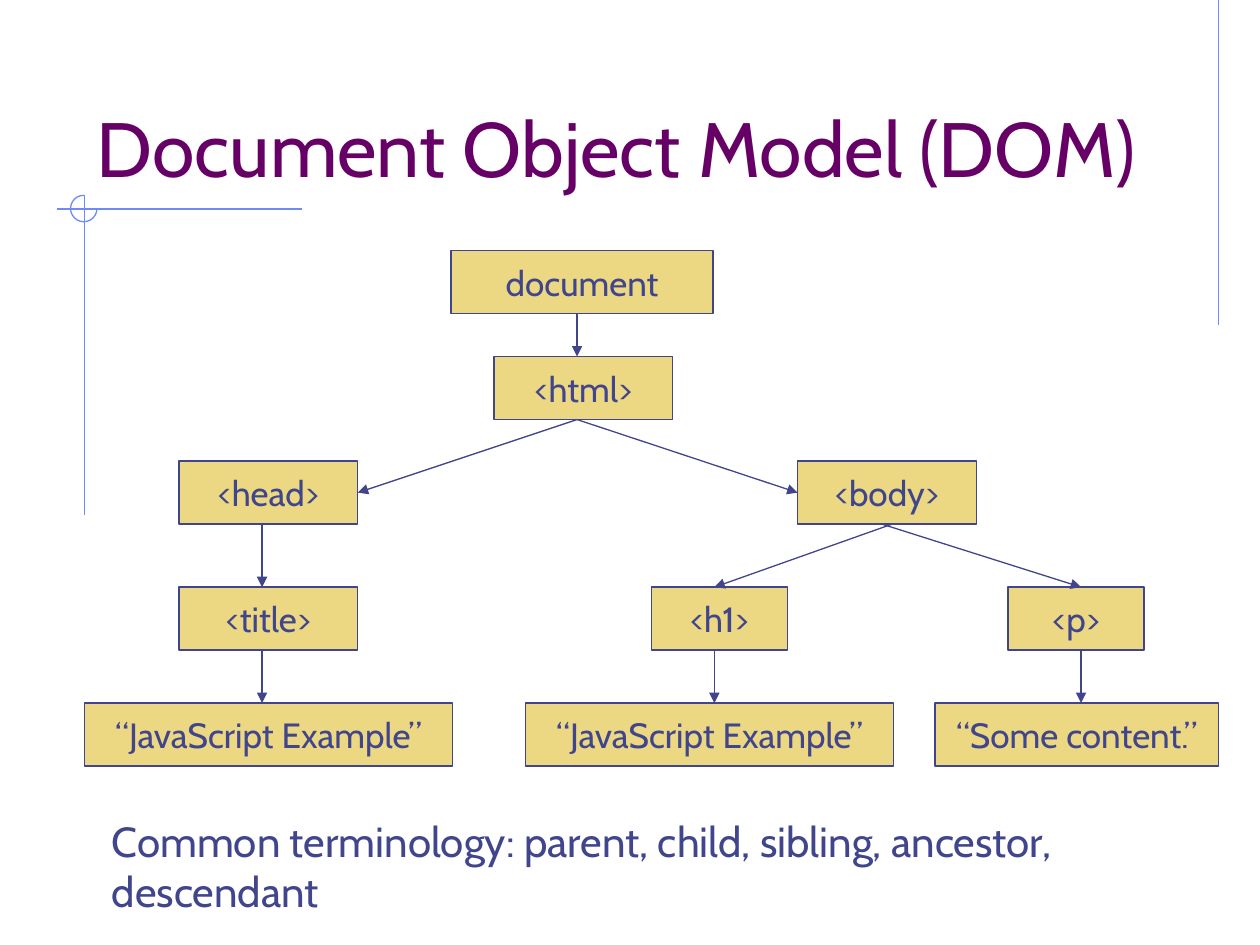
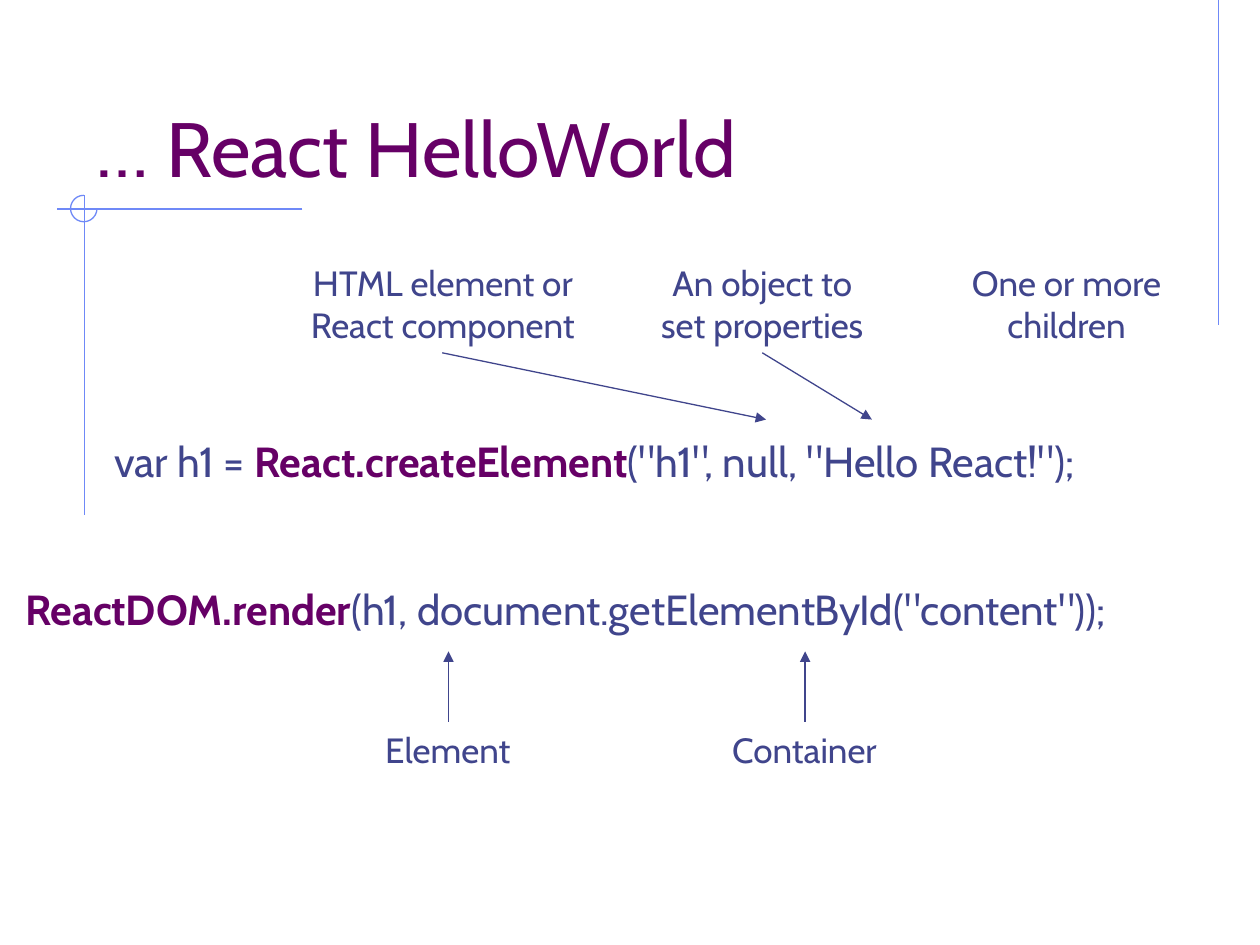
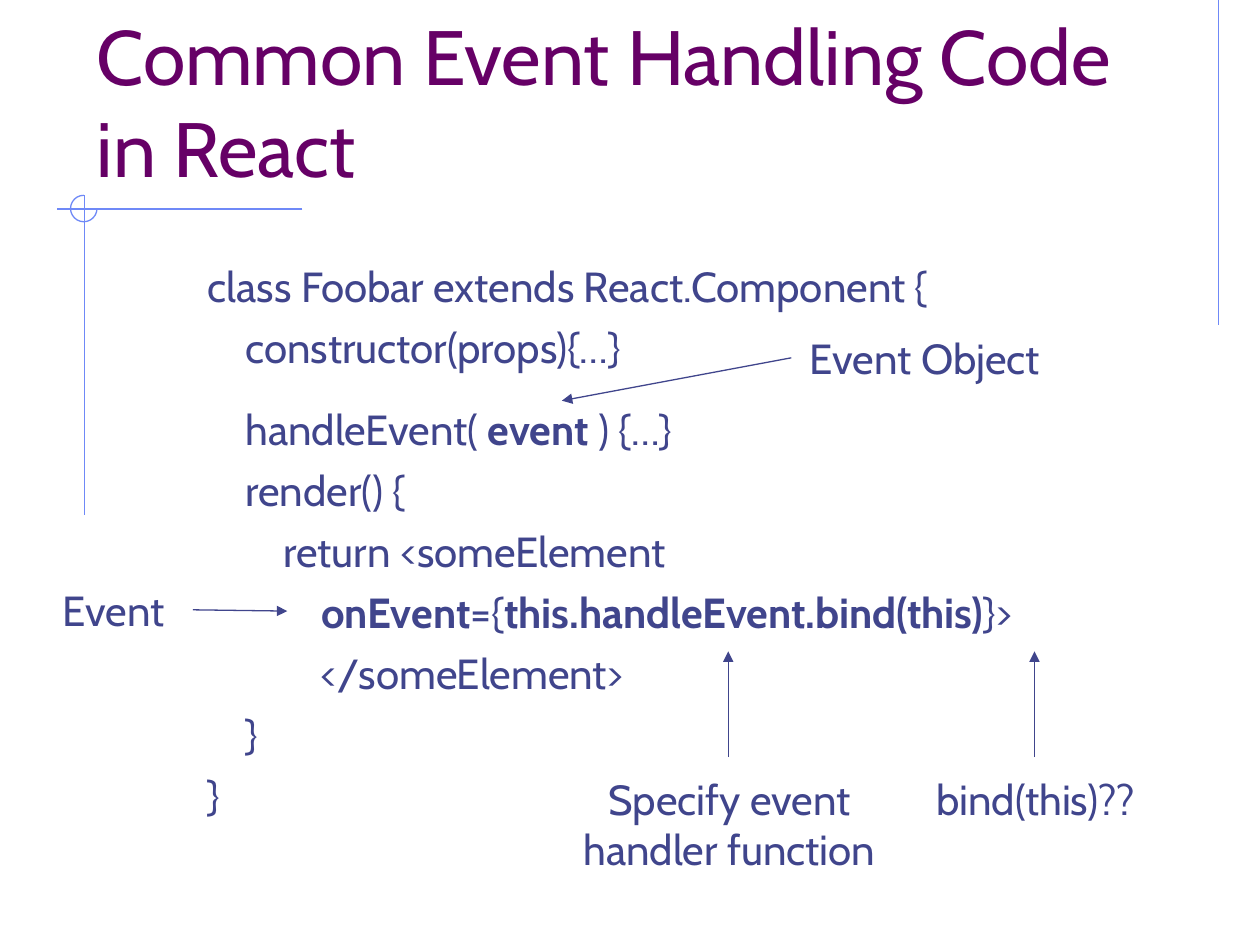
from lxml import etree
from pptx import Presentation
from pptx.dml.color import RGBColor
from pptx.enum import shapes, text
from pptx.oxml import ns
from pptx.util import Inches, Pt

FONT = "Cabin"
INK, PLUM, GOLD, SKY = "40458C", "660066", "ECD882", "6F89F7"
LEFT, CENTER = text.PP_ALIGN.LEFT, text.PP_ALIGN.CENTER

# Frame lines shared by all slides: x1, y1, x2, y2
FRAME = [(9.67, 0, 9.67, 2.58), (2.4, 1.66, 0.45, 1.66), (0.67, 1.55, 0.67, 4.09)]

# DOM tree: name -> (label, left, row, width)
ROWS = [1.99, 2.83, 3.66, 4.66, 5.58]
BOX_H = 0.5
NODES = {
    "document": ("document", 3.58, 0, 2.08),
    "html": ("<html>", 3.92, 1, 1.42),
    "head": ("<head>", 1.42, 2, 1.42),
    "body": ("<body>", 6.33, 2, 1.42),
    "title": ("<title>", 1.42, 3, 1.42),
    "title text": ("“JavaScript Example”", 0.67, 4, 2.92),
    "h1": ("<h1>", 5.17, 3, 1.08),
    "p": ("<p>", 8, 3, 1.08),
    "h1 text": ("“JavaScript Example”", 4.17, 4, 2.92),
    "p text": ("“Some content.”", 7.42, 4, 2.25),
}
# Parent, child, x at parent's bottom, x at child's top
DROPS = [
    ("document", "html", 4.58, 4.58),
    ("head", "title", 2.08, 2.08),
    ("body", "h1", 7.08, 5.67),
    ("body", "p", 7, 8.58),
    ("title", "title text", 2.08, 2.08),
    ("h1", "h1 text", 5.67, 5.67),
    ("p", "p text", 8.58, 8.58),
]
# Children of <html>, each met at the side facing it: child, side
BRANCHES = [("head", 3), ("body", 1)]
HTML_X = 4.58
TERMS = ["Common terminology: parent, child, sibling, ancestor,", "descendant"]

# React calls: runs are (text, bold, colour)
CREATE = [("var h1 = ", False, INK), ("React.createElement", True, PLUM),
          ('("h1", null, "Hello React!");', False, INK)]
RENDER = [("ReactDOM.render", True, PLUM),
          ('(h1, document.getElementById("content"));', False, INK)]
CALL_LABELS = [
    (["HTML element or", "React component"], 2.27, 2.03, 2.49),
    (["An object to", "set properties"], 5.04, 2.03, 2.02),
    (["One or more", "children"], 7.53, 2.03, 1.87),
    (["Element"], 2.92, 5.73, 1.27),
    (["Container"], 5.64, 5.73, 1.49),
]
CALL_ARROWS = [(3.56, 5.73, 3.56, 5.17), (6.39, 5.73, 6.39, 5.17),
               (3.51, 2.8, 6.08, 3.33), (6.05, 2.8, 6.92, 3.33)]

# Event handling code
CODE = [
    "class Foobar extends React.Component {",
    "    constructor(props){…}",
    [("    handleEvent( ", False, INK), ("event", True, INK), (" ) {…}", False, INK)],
    "    render() {",
    "        return <someElement",
    [("            ", False, INK), ("onEvent", True, INK), ("={", False, INK),
     ("this.handleEvent.bind(this)", True, INK), ("}>", False, INK)],
    "            </someElement>",
    "    }",
    "}",
]
CODE_GAPS = [6, 18] + [6] * 7
EVENT_LABELS = [
    (["Event"], 0.4, 4.59, 1.07, LEFT),
    (["Specify event", "handler function"], 4.39, 6.09, 2.8, CENTER),
    (["bind(this)??"], 7.24, 6.09, 1.96, CENTER),
    (["Event Object"], 6.33, 2.59, 2.17, LEFT),
]
EVENT_ARROWS = [(1.53, 4.84, 2.28, 4.85), (5.78, 6.01, 5.78, 5.17),
                (8.21, 6.01, 8.21, 5.17), (6.28, 2.84, 4.46, 3.18)]


def rgb(color):
    return RGBColor.from_string(color)


def write(sp, lines, size, color=INK, align=LEFT, anchor=text.MSO_ANCHOR.TOP, gaps=()):
    """Fill a shape; a line is a string or a list of (text, bold, colour) runs."""
    tf = sp.text_frame
    tf.word_wrap = True
    tf.vertical_anchor = anchor
    for i, line in enumerate(lines):
        p = tf.paragraphs[0] if i == 0 else tf.add_paragraph()
        p.alignment = align
        if gaps:
            p.space_after = Pt(gaps[i])
        p.font.name, p.font.size = FONT, Pt(size)
        p.font.color.rgb = rgb(color)
        for content, bold, run_color in [(line, False, color)] if isinstance(line, str) else line:
            r = p.add_run()
            r.text = content
            if bold:
                r.font.bold = True
            if run_color != color:
                r.font.color.rgb = rgb(run_color)


def add_text(slide, lines, x, y, w, h, size, **style):
    write(slide.shapes.add_textbox(*map(Inches, (x, y, w, h))), lines, size, **style)


def add_line(slide, ends, color=INK, arrow=True):
    line = slide.shapes.add_connector(shapes.MSO_CONNECTOR.STRAIGHT, *map(Inches, ends))
    line.line.color.rgb = rgb(color)
    line.line.width = Pt(0.75)
    if arrow:
        etree.SubElement(line.line._get_or_add_ln(), ns.qn("a:tailEnd"), type="triangle")
    etree.SubElement(line._element.spPr, ns.qn("a:effectLst"))
    return line


def add_shape(slide, kind, x, y, w, h, line_color):
    sp = slide.shapes.add_shape(kind, *map(Inches, (x, y, w, h)))
    sp.shadow.inherit = False
    sp.line.color.rgb = rgb(line_color)
    sp.line.width = Pt(0.75)
    return sp


def add_slide(prs, title):
    slide = prs.slides.add_slide(prs.slide_layouts[6])
    for ends in FRAME:
        add_line(slide, ends, SKY, arrow=False)
    # Three-quarter ring, open at the top right
    ring = add_shape(slide, shapes.MSO_SHAPE.ARC, 0.56, 1.55, 0.21, 0.21, SKY)
    ring.fill.background()
    ring.adjustments[0], ring.adjustments[1] = 0, 162
    add_text(slide, [title], 0.67, 0.33, 8.5, 1.25, 44, color=PLUM,
             anchor=text.MSO_ANCHOR.BOTTOM)
    return slide


def dom_slide(prs):
    slide = add_slide(prs, "Document Object Model (DOM)")
    boxes = {}
    for name, (label, x, row, w) in NODES.items():
        sp = add_shape(slide, shapes.MSO_SHAPE.RECTANGLE, x, ROWS[row], w, BOX_H, INK)
        sp.fill.solid()
        sp.fill.fore_color.rgb = rgb(GOLD)
        write(sp, [label], 20, align=CENTER, anchor=text.MSO_ANCHOR.MIDDLE)
        boxes[name] = sp
    for parent, child, x1, x2 in DROPS:
        add_line(slide, (x1, ROWS[NODES[parent][2]] + BOX_H, x2, ROWS[NODES[child][2]]))
    for child, side in BRANCHES:
        start = HTML_X, ROWS[1] + BOX_H
        add_line(slide, start + start).end_connect(boxes[child], side)
    add_text(slide, TERMS, 0.79, 6.42, 8.62, 0.9, 24)


def hello_slide(prs):
    slide = add_slide(prs, "… React HelloWorld")
    add_text(slide, [CREATE], 0.81, 3.41, 9.02, 0.5, 24)
    add_text(slide, [RENDER], 0.1, 4.58, 9.91, 0.5, 24)
    for lines, x, y, w in CALL_LABELS:
        add_text(slide, lines, x, y, w, 0.11 + 0.33 * len(lines), 20, align=CENTER)
    for ends in CALL_ARROWS:
        add_line(slide, ends)


def event_slide(prs):
    slide = add_slide(prs, "Common Event Handling Code in React")
    add_text(slide, CODE, 1.55, 2.02, 7.74, 4.54, 24, gaps=CODE_GAPS)
    for lines, x, y, w, align in EVENT_LABELS:
        add_text(slide, lines, x, y, w, 0.1 + 0.4 * len(lines), 24, align=align)
    for ends in EVENT_ARROWS:
        add_line(slide, ends)


def main():
    prs = Presentation()
    prs.slide_width, prs.slide_height = Inches(10), Inches(7.5)
    dom_slide(prs)
    hello_slide(prs)
    event_slide(prs)
    prs.save("out.pptx")


if __name__ == "__main__":
    main()
